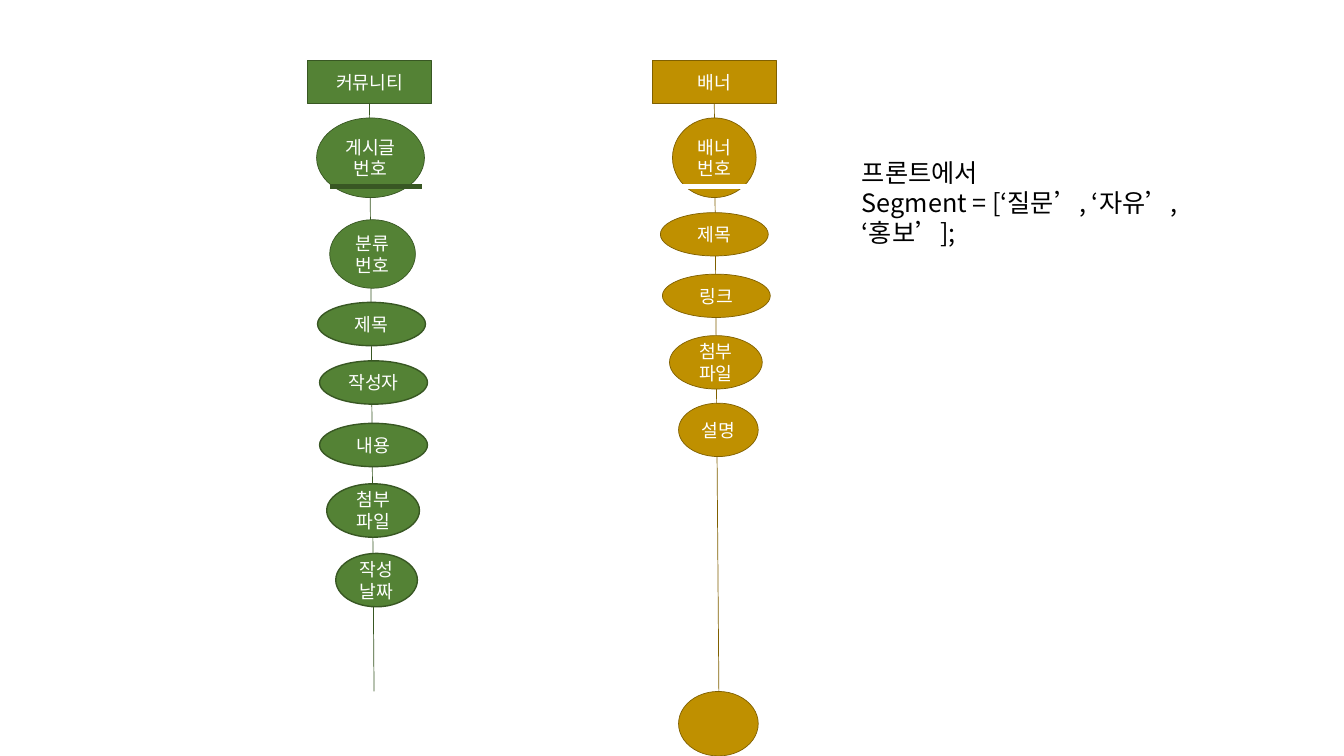
from lxml import etree
from pptx import Presentation
from pptx.dml.color import RGBColor
from pptx.enum.shapes import MSO_CONNECTOR, MSO_SHAPE
from pptx.enum.text import MSO_ANCHOR, PP_ALIGN
from pptx.oxml.ns import qn
from pptx.util import Inches, Pt

RECT, OVAL = MSO_SHAPE.RECTANGLE, MSO_SHAPE.OVAL
STRAIGHT = MSO_CONNECTOR.STRAIGHT
MIDDLE, TOP = MSO_ANCHOR.MIDDLE, MSO_ANCHOR.TOP
CENTER, LEFT = PP_ALIGN.CENTER, PP_ALIGN.LEFT
FONT = "Noto Sans CJK KR"
COLORS = {
    "green": "548235", "dark_green": "385723",
    "gold": "BF9000", "dark_gold": "806000",
    "white": "FFFFFF", "black": "000000",
}
CELLS_PER_INCH = 10


def rgb(name):
    return RGBColor.from_string(COLORS[name])


def grid(*cells):
    return [Inches(cell / CELLS_PER_INCH) for cell in cells]


def write(frame, text, size=13, color="white", align=CENTER, anchor=MIDDLE):
    frame.word_wrap = True
    frame.vertical_anchor = anchor
    frame.text = text
    for paragraph in frame.paragraphs:
        paragraph.alignment = align
        for run in paragraph.runs:
            run.font.size = Pt(size)
            run.font.name = FONT
            run.font.color.rgb = rgb(color)
            east_asian = etree.SubElement(run.font._element, qn("a:ea"))
            east_asian.set("typeface", FONT)


def add_node(slide, kind, box, text, fill, outline, weight):
    node = slide.shapes.add_shape(kind, *grid(*box))
    node.shadow.inherit = False
    node.fill.solid()
    node.fill.fore_color.rgb = rgb(fill)
    node.line.color.rgb = rgb(outline)
    node.line.width = Pt(weight)
    if text:
        write(node.text_frame, text)


def add_line(slide, start, end, color, weight):
    line = slide.shapes.add_connector(STRAIGHT, *grid(*start, *end))
    line.line.color.rgb = rgb(color)
    line.line.width = Pt(weight)
    etree.SubElement(line._element.spPr, qn("a:effectLst"))


def add_entity(slide, box, heading, fields, fill, outline, key_color):
    left, top, width, height = box
    middle = left + width / 2
    heading_height = 4.3
    add_line(slide, (middle, top + heading_height),
             (middle + 0.45, top + height), outline, 0.5)
    add_node(slide, RECT, (left, top, width, heading_height),
             heading, fill, outline, 0.5)
    for text, column, row, columns, rows, weight in fields:
        add_node(slide, OVAL, (left + column, top + row, columns, rows),
                 text, fill, outline, weight)
    key_row = top + 12.5
    add_line(slide, (left + 2.25, key_row), (left + 11.35, key_row),
             key_color, 3)


def add_segment_note(slide, box):
    note = slide.shapes.add_textbox(*grid(*box))
    write(note.text_frame, "프론트에서\nSegment = [‘질문’, ‘자유’, ‘홍보’];",
          size=18, color="black", align=LEFT, anchor=TOP)


COMMUNITY_FIELDS = [
    ("게시글번호", 0.9, 5.7, 10.7, 7.9, 0.5),
    ("분류번호", 2.2, 15.8, 8.5, 6.8, 0.5),
    ("제목", 1.0, 24.0, 10.7, 4.3, 1),
    ("작성자", 1.2, 29.8, 10.7, 4.3, 1),
    ("내용", 1.2, 36.0, 10.7, 4.3, 1),
    ("첨부파일", 1.9, 42.0, 9.2, 5.3, 1),
    ("작성날짜", 2.8, 48.9, 8.1, 5.3, 1),
]
BANNER_FIELDS = [
    ("배너 번호", 2.0, 5.7, 8.3, 7.9, 0.5),
    ("제목", 0.8, 15.1, 10.7, 4.3, 0.5),
    ("링크", 1.0, 21.2, 10.7, 4.3, 0.5),
    ("첨부파일", 1.7, 27.3, 9.2, 5.3, 0.5),
    ("설명", 2.6, 34.0, 7.9, 5.3, 0.5),
    ("", 2.6, 62.6, 7.9, 6.4, 0.5),
]

deck = Presentation()
deck.slide_width, deck.slide_height = Inches(13.33), Inches(7.5)
schema = deck.slides.add_slide(deck.slide_layouts[6])
add_entity(schema, (64.7, 6, 12.3, 62.6), "배너", BANNER_FIELDS,
           "gold", "dark_gold", "white")
add_segment_note(schema, (84.5, 15.1, 35.6, 10.1))
add_entity(schema, (30.5, 6, 12.3, 62.6), "커뮤니티", COMMUNITY_FIELDS,
           "green", "dark_green", "dark_green")
deck.save("out.pptx")
